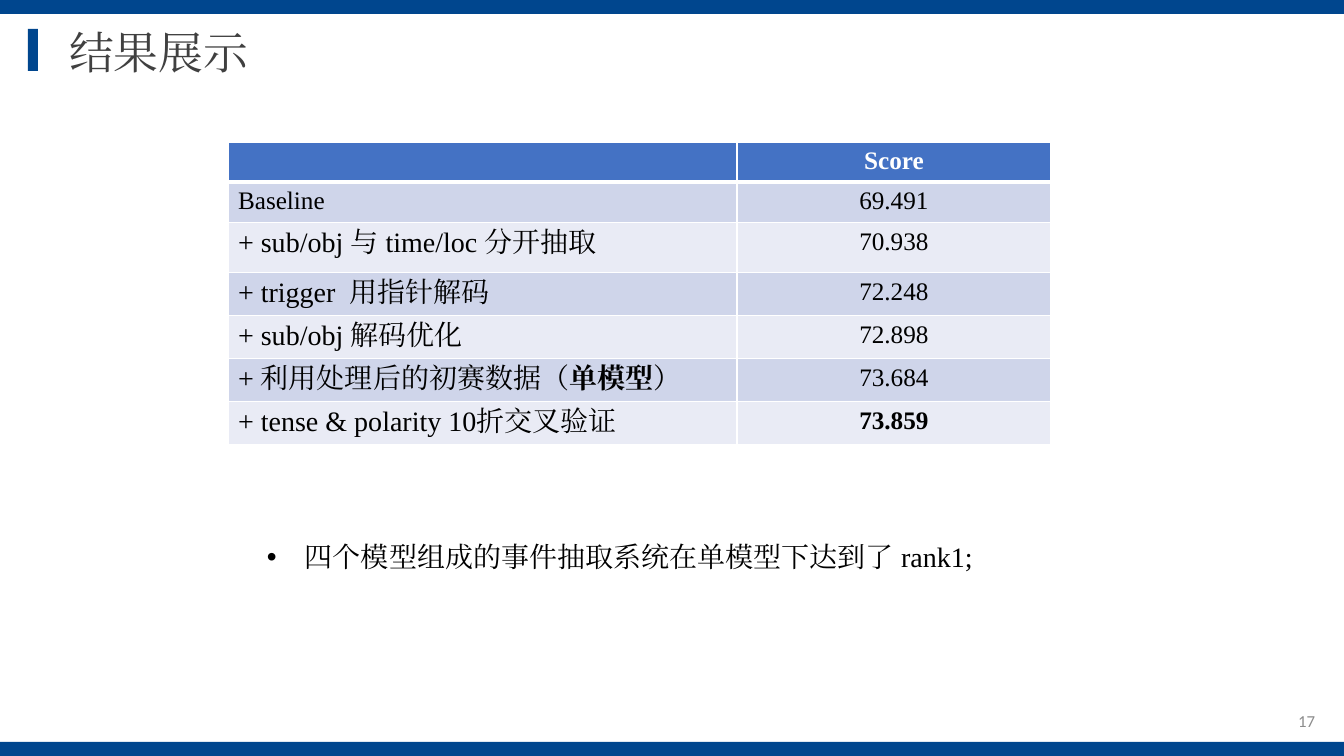
import pptx
import pptx.util
import pptx.dml.color
import pptx.enum.shapes
import pptx.enum.text
import pptx.oxml
import pptx.oxml.ns

EMU_PER_PX = 914400 / 100.8
COLORS = {"bar": "00468E", "title": "404040", "number": "8C8C8C", "head": "4472C4",
          "odd": "CFD5EA", "even": "E9EBF5", "white": "FFFFFF", "black": "000000"}
SERIF = "Times New Roman"
ALIGN = pptx.enum.text.PP_ALIGN
ANCHOR = pptx.enum.text.MSO_ANCHOR


def px(n):
    """Turn pixels into EMU."""
    return pptx.util.Emu(round(n * EMU_PER_PX))


def rgb(name):
    """Look up a named colour."""
    return pptx.dml.color.RGBColor.from_string(COLORS[name])


def add_xml(parent, tag, index=None, **attrs):
    """Add a drawing element to a parent, at the end or at an index."""
    el = parent.makeelement(pptx.oxml.ns.qn("a:" + tag), attrs)
    parent.insert(len(parent) if index is None else index, el)
    return el


class Deck:
    """Holds the style and the current slide."""

    def __init__(self, width, height):
        """Start a presentation with one title-only slide."""
        self.prs = pptx.Presentation()
        self.prs.slide_width, self.prs.slide_height = px(width), px(height)
        self.s = self.prs.slides.add_slide(self.prs.slide_layouts[5])

    def style(self, p, size, color, font=SERIF, bold=False, align=ALIGN.LEFT):
        """Format a paragraph and all its runs."""
        p.alignment = align
        for r in p.runs:
            r.font.name, r.font.size, r.font.bold = font, pptx.util.Pt(size), bold
            r.font.color.rgb = rgb(color)
            add_xml(r.font._element, "ea", typeface=font)

    def title(self, box, text, size, color):
        """Place and format the title."""
        sp = self.s.shapes.title
        sp.left, sp.top, sp.width, sp.height = map(px, box)
        tf = sp.text_frame
        tf.text = text
        tf.word_wrap = False
        tf.auto_size = pptx.enum.text.MSO_AUTO_SIZE.NONE
        tf.vertical_anchor = ANCHOR.TOP
        self.style(tf.paragraphs[0], size, color)

    def bar(self, box, color):
        """Draw a plain filled rectangle."""
        kind = pptx.enum.shapes.MSO_SHAPE.RECTANGLE
        sp = self.s.shapes.add_shape(kind, *map(px, box))
        sp.shadow.inherit = False
        sp.fill.solid()
        sp.fill.fore_color.rgb = rgb(color)
        sp.line.fill.background()

    def text(self, box, text, size, color, anchor=ANCHOR.TOP, **style):
        """Add a text box and return its paragraph."""
        tf = self.s.shapes.add_textbox(*map(px, box)).text_frame
        tf.word_wrap = True
        tf.vertical_anchor = anchor
        tf.text = text
        self.style(tf.paragraphs[0], size, color, **style)
        return tf.paragraphs[0]

    def bullet(self, box, text, size, color, indent, spacing):
        """Add a bulleted line with a hanging indent."""
        p = self.text(box, text, size, color)
        p.line_spacing = spacing
        pPr = p._p.get_or_add_pPr()
        pPr.set("marL", str(px(indent)))
        pPr.set("indent", str(-px(indent)))
        add_xml(pPr, "buFont", typeface="Arial")
        add_xml(pPr, "buChar", char="•")

    def borders(self, cell, bottom):
        """Draw white cell borders with a given bottom width."""
        tcPr = cell._tc.get_or_add_tcPr()
        for i, side in enumerate("LRTB"):
            width = pptx.util.Pt(bottom if side == "B" else 1)
            ln = add_xml(tcPr, "ln" + side, i, w=str(width))
            add_xml(add_xml(ln, "solidFill"), "srgbClr", val=COLORS["white"])

    def table(self, left, top, widths, heights, rows):
        """Add the score table; each row is a label and a score."""
        box = map(px, (left, top, sum(widths), sum(heights)))
        table = self.s.shapes.add_table(len(rows), len(widths), *box).table
        for column, width in zip(table.columns, widths):
            column.width = px(width)
        for i, (row, height) in enumerate(zip(rows, heights)):
            table.rows[i].height = px(height)
            fill = "head" if i == 0 else "odd" if i % 2 else "even"
            for j, text in enumerate(row):
                cell = table.cell(i, j)
                cell.fill.solid()
                cell.fill.fore_color.rgb = rgb(fill)
                if i > 2:
                    cell.margin_bottom = 0
                self.borders(cell, 3 if i == 0 else 1)
                p = cell.text_frame.paragraphs[0]
                if text:
                    self.fill_cell(p, text, i, j, i in (0, len(rows) - 1))

    def fill_cell(self, p, text, i, j, bold_score):
        """Write one cell; text between asterisks is bold."""
        parts = text.split("*")
        for part in parts:
            p.add_run().text = part
        self.style(p, 20 if i > 1 and j == 0 else 18, "black" if i else "white",
                   bold=j == 1 and bold_score, align=ALIGN.CENTER if j else ALIGN.LEFT)
        for r in p.runs[1::2]:
            r.font.bold = True


ROWS = [
    ("", "Score"),
    ("Baseline", "69.491"),
    ("+ sub/obj 与 time/loc 分开抽取", "70.938"),
    ("+ trigger  用指针解码", "72.248"),
    ("+ sub/obj 解码优化", "72.898"),
    ("+ 利用处理后的初赛数据（*单模型*）", "73.684"),
    ("+ tense & polarity 10折交叉验证", "73.859"),
]

deck = Deck(1344, 756)
deck.title((59, 20, 202, 65), "结果展示", 32, "title")
for box in ((0, 742, 1344, 14), (0, 0, 1344, 14), (28, 29, 10, 42)):
    deck.bar(box, "bar")
deck.text((1023, 701, 302, 40), "17", 12, "number", anchor=ANCHOR.MIDDLE,
          font="Calibri", align=ALIGN.RIGHT)
deck.table(228, 142, (509, 314), (40, 40, 50) + (43,) * 4, ROWS)
deck.bullet((257, 518, 801, 55), "四个模型组成的事件抽取系统在单模型下达到了 rank1;",
            20, "black", indent=38, spacing=1.5)
deck.prs.save("out.pptx")
